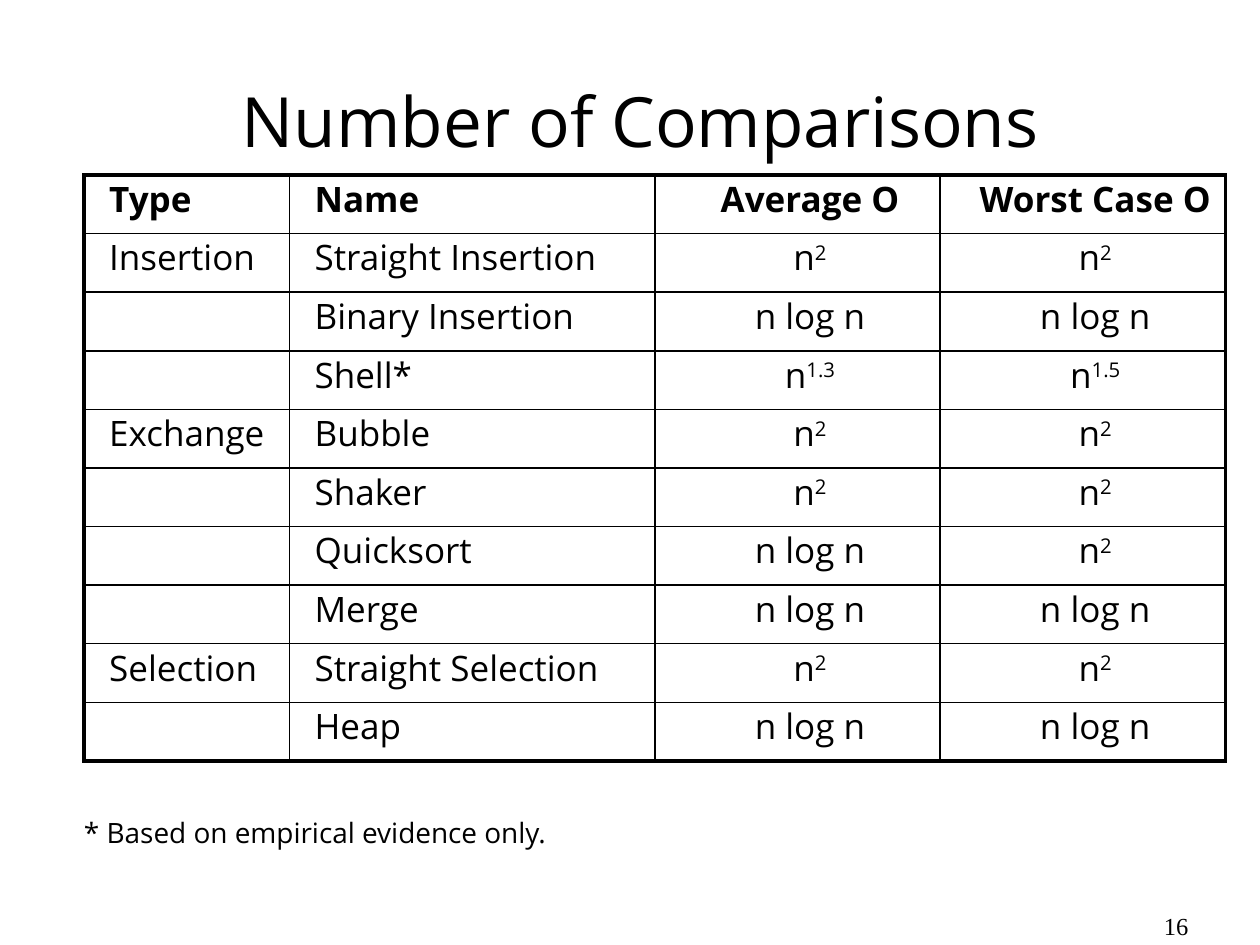
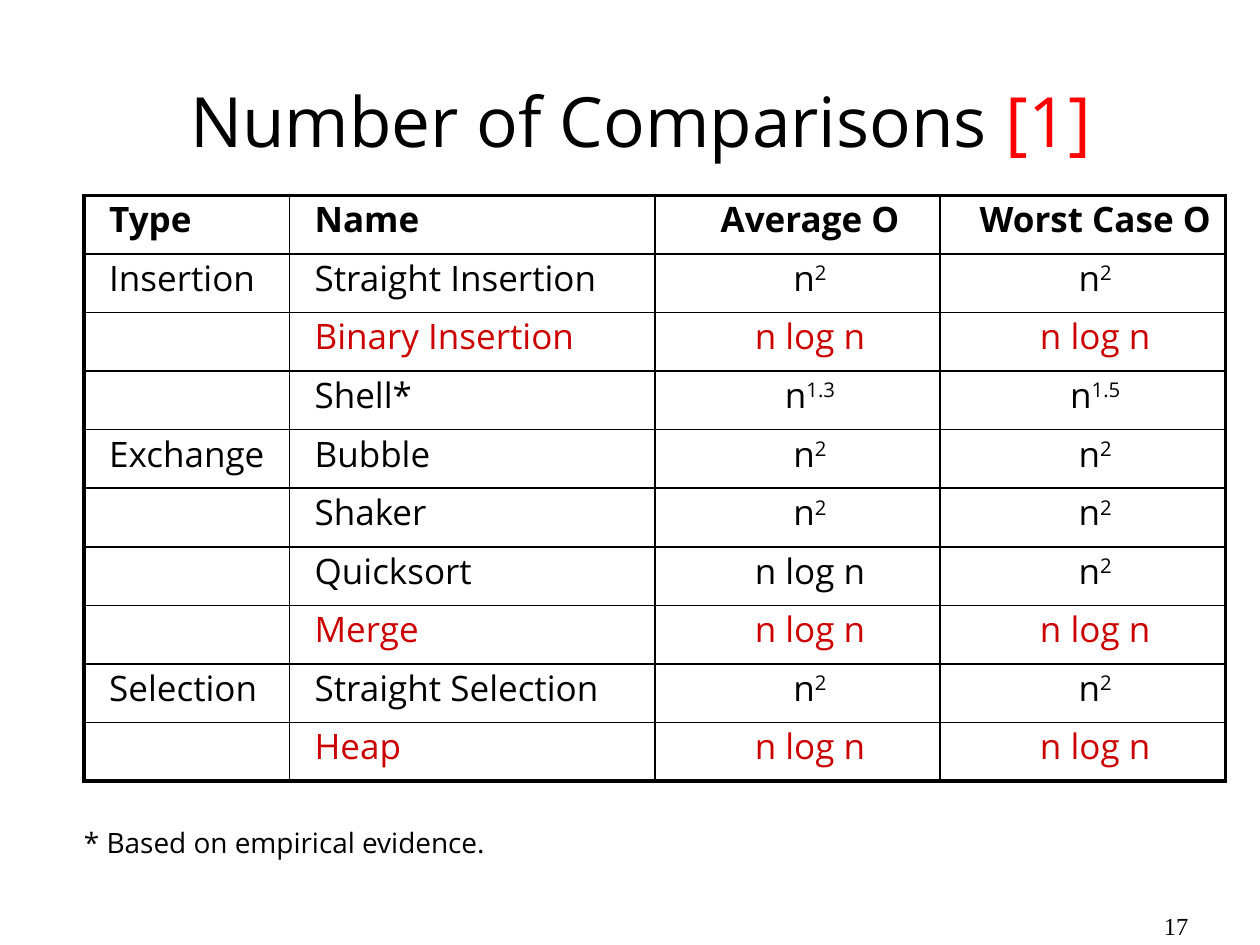
from dataclasses import dataclass

from lxml.etree import SubElement
from pptx import Presentation
from pptx.dml.color import RGBColor as Color
from pptx.enum.text import MSO_VERTICAL_ANCHOR as Anchor, PP_PARAGRAPH_ALIGNMENT as Align
from pptx.oxml.ns import qn
from pptx.util import Pt


@dataclass(frozen=True)
class Theme:
    ink: str = "000000"
    paper: str = "FFFFFF"
    highlight: str = "CC0000"
    citation: str = "FF0000"
    font: str = "Open Sans"
    number_font: str = "Times New Roman"
    title_size: float = 39.6
    table_size: float = 20
    note_size: float = 16
    number_size: float = 14
    grid_line: float = 1
    outer_line: float = 2.25


THEME = Theme()
LEFT = 48
COLUMN_WIDTHS = (117.4, 208.8, 163, 163)
ROW_HEIGHT = 33.5
HEADERS = ("Type", "Name", "Average O", "Worst Case O")
SORTS = (
    ("Insertion", "Straight Insertion", "n^2", "n^2"),
    ("", "Binary Insertion", "n log n", "n log n"),
    ("", "Shell*", "n^1.3", "n^1.5"),
    ("Exchange", "Bubble", "n^2", "n^2"),
    ("", "Shaker", "n^2", "n^2"),
    ("", "Quicksort", "n log n", "n^2"),
    ("", "Merge", "n log n", "n log n"),
    ("Selection", "Straight Selection", "n^2", "n^2"),
    ("", "Heap", "n log n", "n log n"),
)


def write(paragraph, text, *, size, color=THEME.ink, font=THEME.font, bold=False,
          align=Align.LEFT, line_spacing=None, indent=0):
    paragraph.alignment = align
    if line_spacing:
        paragraph.line_spacing = line_spacing
    if indent:
        properties = paragraph._p.get_or_add_pPr()
        properties.set("marL", "0")
        properties.set("indent", str(Pt(indent)))
    base, _, exponent = text.partition("^")
    for part in filter(None, (base, exponent)):
        run = paragraph.add_run()
        run.text = part
        run.font.name = font
        run.font.size = Pt(size)
        run.font.bold = bold
        run.font.color.rgb = Color.from_string(color)
        if part is exponent:
            run.font._element.set("baseline", "30000")


class Deck:
    def __init__(self, theme):
        self.theme = theme
        self.presentation = Presentation()
        self.presentation.slide_width = Pt(720)
        self.presentation.slide_height = Pt(540)
        self.slide = None

    def add_slide(self):
        self.slide = self.presentation.slides.add_slide(self.presentation.slide_layouts[6])
        fill = self.slide.background.fill
        fill.solid()
        fill.fore_color.rgb = Color.from_string(self.theme.paper)

    def text_box(self, left, top, width, height, inset=True):
        shape = self.slide.shapes.add_textbox(Pt(left), Pt(top), Pt(width), Pt(height))
        frame = shape.text_frame
        frame.word_wrap = True
        if not inset:
            frame.margin_left = frame.margin_right = 0
            frame.margin_top = frame.margin_bottom = 0
        return frame

    def title(self, text, citation):
        frame = self.text_box(60, 43.2, 612, 51)
        frame.vertical_anchor = Anchor.MIDDLE
        for part, color in ((text, self.theme.ink), (citation, self.theme.citation)):
            write(frame.paragraphs[0], part, size=self.theme.title_size,
                  color=color, align=Align.CENTER)

    def note(self, text, top):
        frame = self.text_box(LEFT, top, 408, 17, inset=False)
        write(frame.paragraphs[0], text, size=self.theme.note_size, line_spacing=0.85)

    def page_number(self, number):
        frame = self.text_box(620.6, 519.8, 99.4, 20.2)
        write(frame.paragraphs[0], f" {number}", size=self.theme.number_size,
              font=self.theme.number_font, align=Align.CENTER, line_spacing=0.85)

    def borders(self, cell, outer_sides):
        properties = cell._tc.get_or_add_tcPr()
        for side in "LRTB":
            width = self.theme.outer_line if side in outer_sides else self.theme.grid_line
            line = SubElement(properties, qn(f"a:ln{side}"), w=str(Pt(width)))
            fill = SubElement(line, qn("a:solidFill"))
            SubElement(fill, qn("a:srgbClr"), val=self.theme.ink)

    def table(self, rows, top, highlighted):
        last_row, last_column = len(rows) - 1, len(COLUMN_WIDTHS) - 1
        table = self.slide.shapes.add_table(
            len(rows), len(COLUMN_WIDTHS), Pt(LEFT), Pt(top),
            Pt(sum(COLUMN_WIDTHS)), Pt(ROW_HEIGHT * len(rows))).table
        table.first_row = table.horz_banding = False
        for column, width in zip(table.columns, COLUMN_WIDTHS):
            column.width = Pt(width)
        for row_index, row in enumerate(rows):
            table.rows[row_index].height = Pt(ROW_HEIGHT)
            color = self.theme.highlight if row[1] in highlighted else self.theme.ink
            for column_index, text in enumerate(row):
                cell = table.cell(row_index, column_index)
                cell.margin_left = cell.margin_right = 0
                cell.margin_top = cell.margin_bottom = 0
                edges = {"L": column_index == 0, "R": column_index == last_column,
                         "T": row_index == 0, "B": row_index == last_row}
                self.borders(cell, [side for side, outer in edges.items() if outer])
                cell.fill.background()
                write(cell.text_frame.paragraphs[0], text, size=self.theme.table_size,
                      color=color, bold=row_index == 0, indent=14.4,
                      align=Align.CENTER if column_index > 1 else Align.LEFT)


def comparison_slide(deck, number, table_top, note, note_top,
                     title="Number of Comparisons", citation="", highlighted=()):
    deck.add_slide()
    deck.title(title, citation)
    deck.table((HEADERS, *SORTS), table_top, highlighted)
    deck.page_number(number)
    deck.note(note, note_top)


def main():
    deck = Deck(THEME)
    comparison_slide(deck, 16, 100, "* Based on empirical evidence only.", 468.7)
    comparison_slide(deck, 17, 111.6, "* Based on empirical evidence.", 474.5,
                     title="Number of Comparisons ", citation="[1]",
                     highlighted=("Binary Insertion", "Merge", "Heap"))
    deck.presentation.save("out.pptx")


if __name__ == "__main__":
    main()
